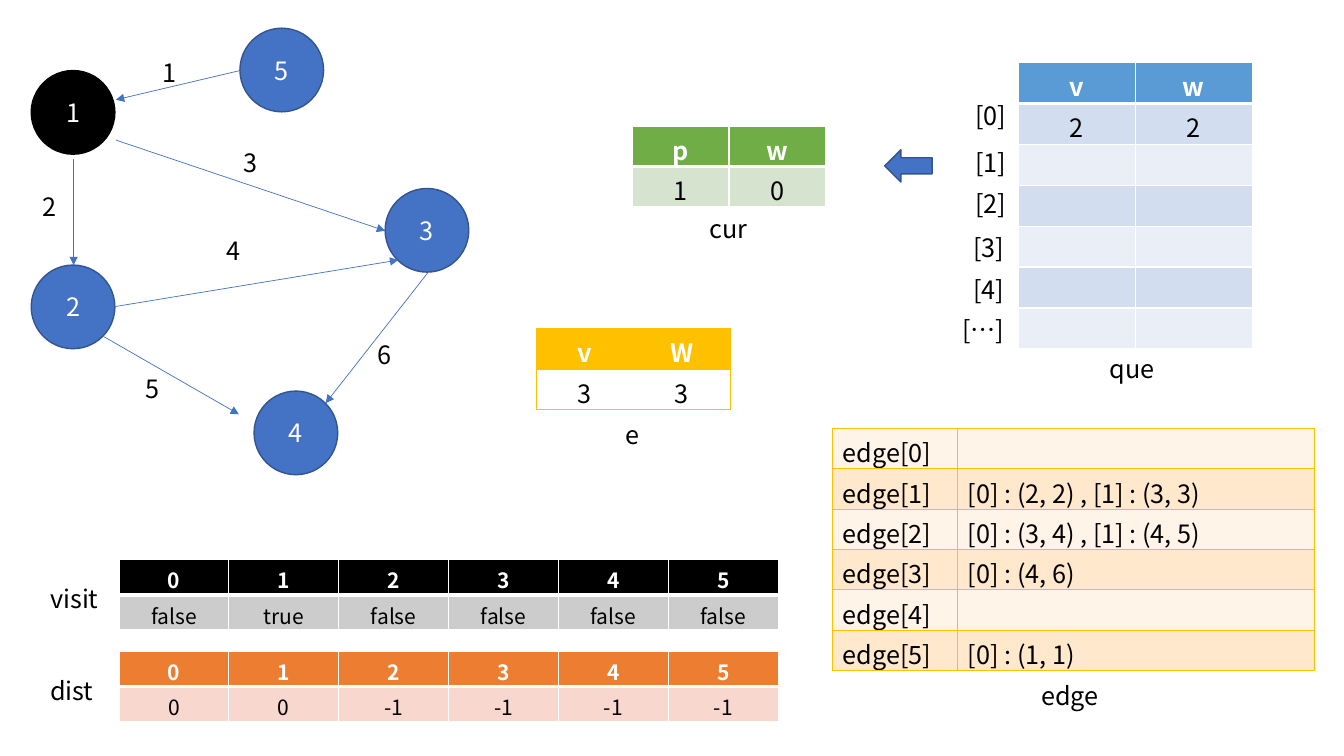
from lxml.etree import SubElement
from pptx import Presentation
from pptx.dml.color import RGBColor
from pptx.enum.shapes import MSO_CONNECTOR, MSO_SHAPE
from pptx.enum.text import MSO_ANCHOR, PP_ALIGN
from pptx.oxml.ns import qn
from pptx.util import Inches, Pt

FONT = "Noto Sans CJK KR"
BLACK, WHITE, BLUE, NAVY, GOLD = "000000", "FFFFFF", "4472C4", "325491", "FFC000"
LEFT, CENTER, RIGHT = PP_ALIGN.LEFT, PP_ALIGN.CENTER, PP_ALIGN.RIGHT
NODE_SIZE = 0.83

# number, left, top, fill, line
NODES = [
    ("1", 0.31, 0.7, BLACK, BLACK),
    ("2", 0.31, 2.63, BLUE, NAVY),
    ("4", 2.52, 3.88, BLUE, NAVY),
    ("3", 3.82, 1.87, BLUE, NAVY),
    ("5", 2.38, 0.28, BLUE, NAVY),
]
# weight, label left, label top, arrow start, arrow end
EDGES = [
    ("1", 1.51, 0.52, (2.38, 0.7), (1.15, 0.99)),
    ("2", 0.32, 1.85, (0.73, 1.58), (0.73, 2.63)),
    ("3", 2.32, 1.41, (1.15, 1.39), (3.82, 2.29)),
    ("4", 2.15, 2.29, (1.15, 3.04), (3.95, 2.58)),
    ("5", 1.34, 3.65, (1.03, 3.34), (2.37, 4.11)),
    ("6", 3.65, 3.32, (4.24, 2.71), (3.23, 4.0)),
]
# text, left, top, alignment
LABELS = [
    ("que", 10.91, 3.46, LEFT),
    ("visit", 0.4, 5.74, LEFT),
    ("dist", 0.4, 6.65, LEFT),
    ("cur", 6.81, 2.07, CENTER),
    ("edge", 10.23, 6.7, LEFT),
    ("e", 5.86, 4.11, CENTER),
    ("[0]", 9.25, 0.95, RIGHT),
    ("[1]", 9.25, 1.41, RIGHT),
    ("[2]", 9.25, 1.82, RIGHT),
    ("[3]", 9.23, 2.26, RIGHT),
    ("[4]", 9.23, 2.67, RIGHT),
    ("[…]", 9.23, 3.07, RIGHT),
]
INDEXES = list("012345")
# head: header fill or None; bands: body fills in turn; grid: inner line colour or None
TABLES = [
    dict(at=(10.1, 0.62), widths=[1.16] * 2, height=0.406, size=18, align=CENTER,
         head="5B9BD5", bands=["D2DEEF", "EAEFF7"], border=(WHITE, 1), grid=True,
         rows=[["v", "w"], ["2", "2"]] + [["", ""]] * 5),
    dict(at=(1.18, 5.55), widths=[1.09] * 6, height=0.35, size=15, align=CENTER,
         head=BLACK, bands=["CCCCCC"], border=(WHITE, 1), grid=True,
         rows=[INDEXES, ["false", "true", "false", "false", "false", "false"]]),
    dict(at=(6.27, 1.25), widths=[0.96] * 2, height=0.4, size=18, align=CENTER,
         head="70AD47", bands=["D5E3CF"], border=(WHITE, 1), grid=True,
         rows=[["p", "w"], ["1", "0"]]),
    dict(at=(1.18, 6.46), widths=[1.09] * 6, height=0.35, size=15, align=CENTER,
         head="ED7D31", bands=["F8D7CE"], border=(WHITE, 1), grid=True,
         rows=[INDEXES, ["0", "0", "-1", "-1", "-1", "-1"]]),
    dict(at=(8.26, 4.25), widths=[1.24, 3.54], height=0.4, size=18, align=LEFT,
         head=None, bands=["FFF4E7", "FFE8CC"], border=(GOLD, 1), grid=True,
         rows=[["edge[0]", ""],
               ["edge[1]", "[0] : (2, 2) , [1] : (3, 3)"],
               ["edge[2]", "[0] : (3, 4) , [1] : (4, 5)"],
               ["edge[3]", "[0] : (4, 6)"],
               ["edge[4]", ""],
               ["edge[5]", "[0] : (1, 1)"]]),
    dict(at=(5.32, 3.26), widths=[0.96] * 2, height=0.4, size=18, align=CENTER,
         head=GOLD, bands=[WHITE], border=(GOLD, 0.5), grid=False,
         rows=[["v", "W"], ["3", "3"]]),
]


def rgb(color):
    return RGBColor.from_string(color)


def write(tf, text, align, color=BLACK, size=18, bold=False):
    p = tf.paragraphs[0]
    p.alignment = align
    if text:
        r = p.add_run()
        r.text = text
        for name, value in dict(name=FONT, size=Pt(size), bold=bold).items():
            setattr(r.font, name, value)
        r.font.color.rgb = rgb(color)


def add_shape(shapes, kind, left, top, width, height, fill, line):
    s = shapes.add_shape(kind, Inches(left), Inches(top), Inches(width), Inches(height))
    s.shadow.inherit = False
    s.fill.solid()
    s.fill.fore_color.rgb = rgb(fill)
    s.line.color.rgb = rgb(line)
    s.line.width = Pt(1)
    return s


def add_label(shapes, text, left, top, width, align=LEFT):
    s = shapes.add_textbox(Inches(left), Inches(top), Inches(width), Inches(0.4))
    s.text_frame.word_wrap = True
    write(s.text_frame, text, align)


def add_arrow(shapes, start, end):
    points = [Inches(n) for n in start + end]
    s = shapes.add_connector(MSO_CONNECTOR.STRAIGHT, *points)
    s.line.color.rgb = rgb(BLUE)
    s.line.width = Pt(0.5)
    SubElement(s.line._get_or_add_ln(), qn("a:tailEnd"), type="triangle")
    SubElement(s._element.spPr, qn("a:effectLst"))


def set_border(cell, side, color, width):
    """Draw one side (L, R, T or B) of a cell; a width of 0 hides it."""
    ln = SubElement(cell._tc.get_or_add_tcPr(), qn(f"a:ln{side}"), w=str(Pt(width)))
    if width:
        SubElement(SubElement(ln, qn("a:solidFill")), qn("a:srgbClr"), val=color)
    else:
        SubElement(ln, qn("a:noFill"))


def add_table(shapes, at, widths, height, size, align, head, bands, border, grid, rows):
    left, top = at
    frame = shapes.add_table(len(rows), len(widths), Inches(left), Inches(top),
                             Inches(sum(widths)), Inches(height * len(rows)))
    table = frame.table
    color, line = border
    for column, width in zip(table.columns, widths):
        column.width = Inches(width)
    for i, row in enumerate(rows):
        table.rows[i].height = Inches(height)
        is_head = bool(head) and i == 0
        fill = head if is_head else bands[(i - bool(head)) % len(bands)]
        rule = 3 if head and grid else line
        for j, text in enumerate(row):
            cell = table.cell(i, j)
            sides = dict(L=line if grid or j == 0 else 0,
                         R=line if grid or j == len(row) - 1 else 0,
                         T=rule if i == 1 else line,
                         B=rule if i == 0 else line)
            for side, width in sides.items():
                set_border(cell, side, color, width)
            cell.fill.solid()
            cell.fill.fore_color.rgb = rgb(fill)
            write(cell.text_frame, text, align, WHITE if is_head else BLACK, size, is_head)


def main():
    prs = Presentation()
    prs.slide_width, prs.slide_height = Inches(13.33), Inches(7.5)
    shapes = prs.slides.add_slide(prs.slide_layouts[6]).shapes
    for number, left, top, fill, line in NODES:
        s = add_shape(shapes, MSO_SHAPE.OVAL, left, top, NODE_SIZE, NODE_SIZE, fill, line)
        s.text_frame.vertical_anchor = MSO_ANCHOR.MIDDLE
        write(s.text_frame, number, CENTER, WHITE)
    for weight, left, top, start, end in EDGES:
        add_arrow(shapes, start, end)
        add_label(shapes, weight, left, top, 0.32)
    for table in TABLES:
        add_table(shapes, **table)
    for text, left, top, align in LABELS:
        add_label(shapes, text, left, top, 0.83, align)
    s = add_shape(shapes, MSO_SHAPE.DOWN_ARROW, 8.85, 1.41, 0.32, 0.47, BLUE, NAVY)
    s.rotation = 90
    prs.save("out.pptx")


if __name__ == "__main__":
    main()
